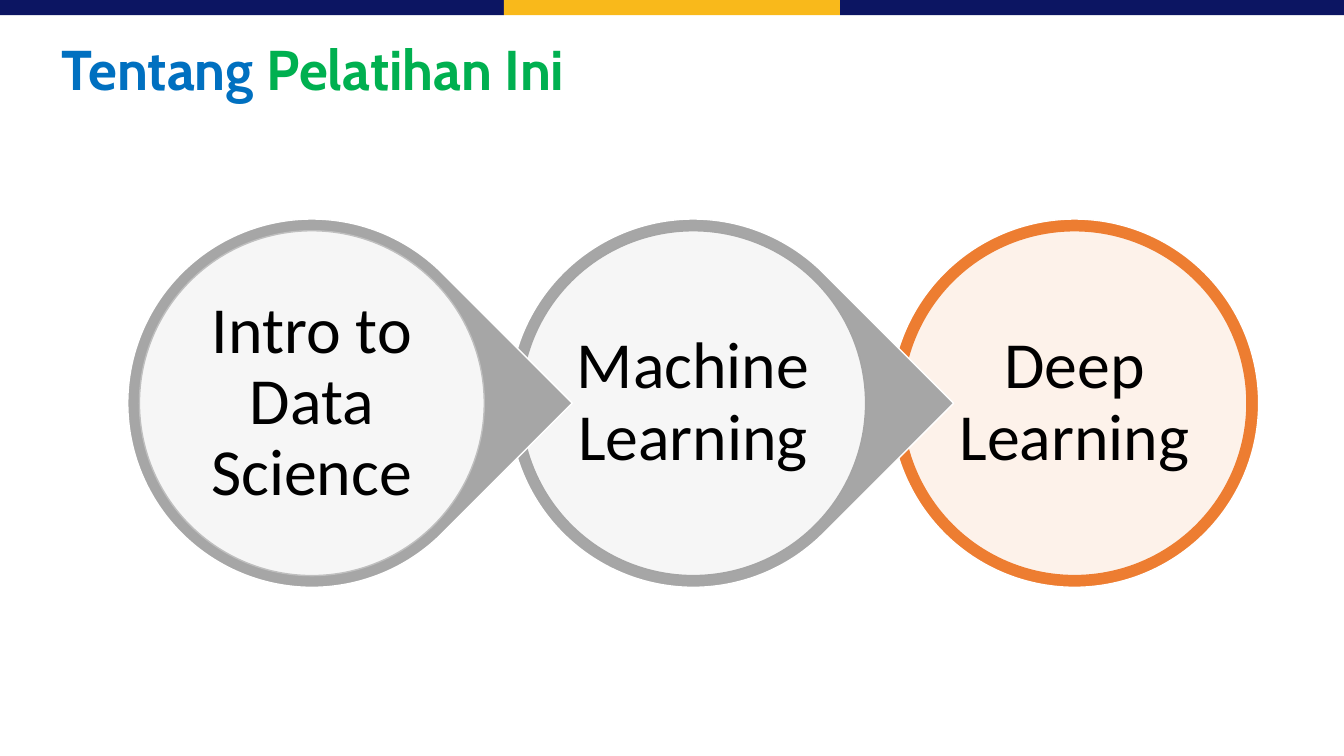
from dataclasses import dataclass

from lxml import etree
from pptx import Presentation
from pptx.dml.color import RGBColor
from pptx.enum.shapes import MSO_SHAPE
from pptx.enum.text import MSO_ANCHOR, MSO_AUTO_SIZE, PP_ALIGN
from pptx.oxml.ns import qn
from pptx.shapes.autoshape import Shape
from pptx.slide import Slide
from pptx.util import Cm, Pt

RECTANGLE, ELLIPSE, TEARDROP = MSO_SHAPE.RECTANGLE, MSO_SHAPE.OVAL, MSO_SHAPE.TEAR
TOP, MIDDLE = MSO_ANCHOR.TOP, MSO_ANCHOR.MIDDLE
LEFT, CENTER = PP_ALIGN.LEFT, PP_ALIGN.CENTER
NO_AUTOFIT = MSO_AUTO_SIZE.NONE

TITLE_ONLY_LAYOUT = 5
PAGE_WIDTH, PAGE_HEIGHT = 33.87, 19.05
NAVY, GOLD, WHITE = "0C1562", "F9B91B", "FFFFFF"
GREY, ORANGE = "A6A6A6", "ED7D31"

FIRST_CENTER, CENTER_STEP, CENTER_HEIGHT = 7.86, 9.61, 10.16
RING_SIZE, DISC_SIZE, LABEL_SIZE = 9.28, 8.69, 6.2


@dataclass
class Band:
    left: float
    width: float
    color: str


@dataclass
class Stage:
    name: str
    ring: MSO_SHAPE
    ring_color: str
    disc_line: str


BANDS = [Band(0, 12.7, NAVY), Band(21.17, 12.7, NAVY), Band(12.7, 8.47, GOLD)]
STAGES = [
    Stage("Intro to Data Science", TEARDROP, GREY, "BFBFBF"),
    Stage("Machine Learning", TEARDROP, GREY, "A5A5A5"),
    Stage("Deep Learning", ELLIPSE, ORANGE, ORANGE),
]


def rgb(color: str) -> RGBColor:
    return RGBColor.from_string(color)


def add_filled(page: Slide, kind: MSO_SHAPE, left: float, top: float,
               width: float, height: float, fill: str, line: str = "") -> Shape:
    shape = page.shapes.add_shape(kind, Cm(left), Cm(top), Cm(width), Cm(height))
    shape.shadow.inherit = False
    shape.fill.solid()
    shape.fill.fore_color.rgb = rgb(fill)
    if line:
        shape.line.color.rgb = rgb(line)
        shape.line.width = Pt(1)
    else:
        shape.line.fill.background()
    return shape


def add_round(page: Slide, kind: MSO_SHAPE, center: float, size: float,
              fill: str, line: str) -> Shape:
    """Place a round shape by its centre on the row of stages."""
    return add_filled(page, kind, center - size / 2, CENTER_HEIGHT - size / 2,
                      size, size, fill, line)


def set_opacity(shape: Shape, percent: int) -> None:
    color = shape.fill._xPr.find(qn("a:solidFill"))[0]
    etree.SubElement(color, qn("a:alpha")).set("val", str(percent * 1000))


def add_span(para, text: str, *, font: str, size: float, color: str,
             bold: bool = False) -> None:
    span = para.add_run()
    span.text = text
    span.font.name = font
    span.font.size = Pt(size)
    span.font.bold = bold
    span.font.color.rgb = rgb(color)


def add_title(page: Slide) -> None:
    title = page.shapes.title
    title.left, title.top, title.width, title.height = Cm(1.3), Cm(0.74), Cm(13.31), Cm(1.96)
    frame = title.text_frame
    frame.auto_size = NO_AUTOFIT
    frame.word_wrap = False
    frame.vertical_anchor = TOP
    para = frame.paragraphs[0]
    para.alignment = LEFT
    for text, color in (("Tentang ", "0070C0"), ("Pelatihan Ini", "00B050")):
        add_span(para, text, font="Cabin", size=40, color=color, bold=True)


def add_label(page: Slide, text: str, center: float) -> None:
    box = page.shapes.add_textbox(Cm(center - LABEL_SIZE / 2),
                                  Cm(CENTER_HEIGHT - LABEL_SIZE / 2),
                                  Cm(LABEL_SIZE), Cm(LABEL_SIZE))
    frame = box.text_frame
    frame.word_wrap = True
    frame.vertical_anchor = MIDDLE
    frame.margin_left = frame.margin_right = Cm(0.1)
    frame.margin_top = frame.margin_bottom = Cm(0.18)
    para = frame.paragraphs[0]
    para.alignment = CENTER
    para.line_spacing = 0.9
    add_span(para, text, font="Calibri", size=47, color="000000")


def add_stage(page: Slide, stage: Stage, center: float) -> None:
    ring = add_round(page, stage.ring, center, RING_SIZE, stage.ring_color, WHITE)
    if stage.ring == TEARDROP:
        ring.adjustments[0] = 1
        ring.rotation = 45
    disc = add_round(page, ELLIPSE, center, DISC_SIZE, WHITE, stage.disc_line)
    set_opacity(disc, 90)
    add_label(page, stage.name, center)


def main() -> None:
    deck = Presentation()
    deck.slide_width, deck.slide_height = Cm(PAGE_WIDTH), Cm(PAGE_HEIGHT)
    page = deck.slides.add_slide(deck.slide_layouts[TITLE_ONLY_LAYOUT])
    for band in BANDS:
        add_filled(page, RECTANGLE, band.left, 0, band.width, 0.38, band.color)
    add_title(page)
    # Later stages go behind, so that each teardrop tip overlaps the next ring.
    for index, stage in reversed(list(enumerate(STAGES))):
        add_stage(page, stage, FIRST_CENTER + index * CENTER_STEP)
    deck.save("out.pptx")


if __name__ == "__main__":
    main()
